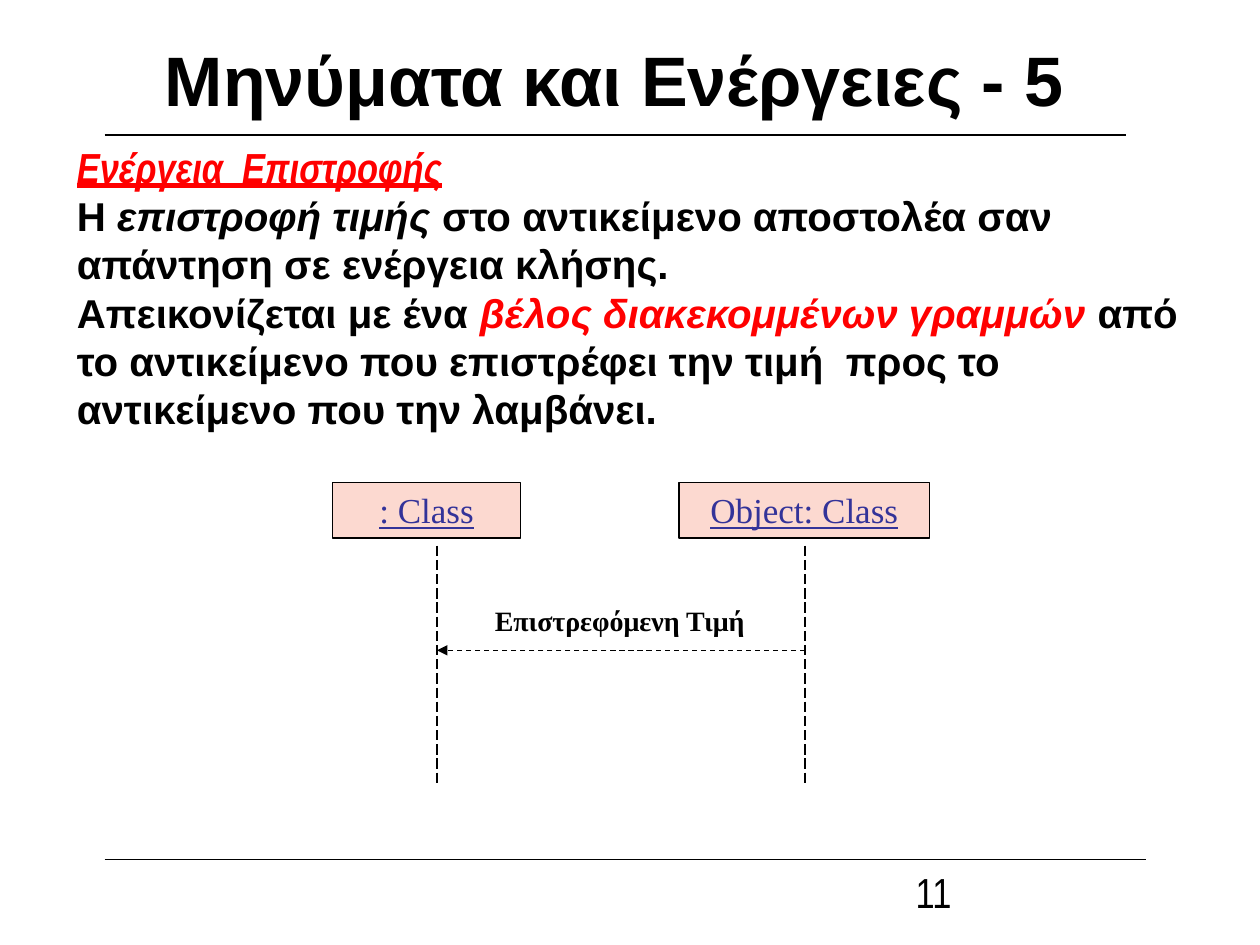
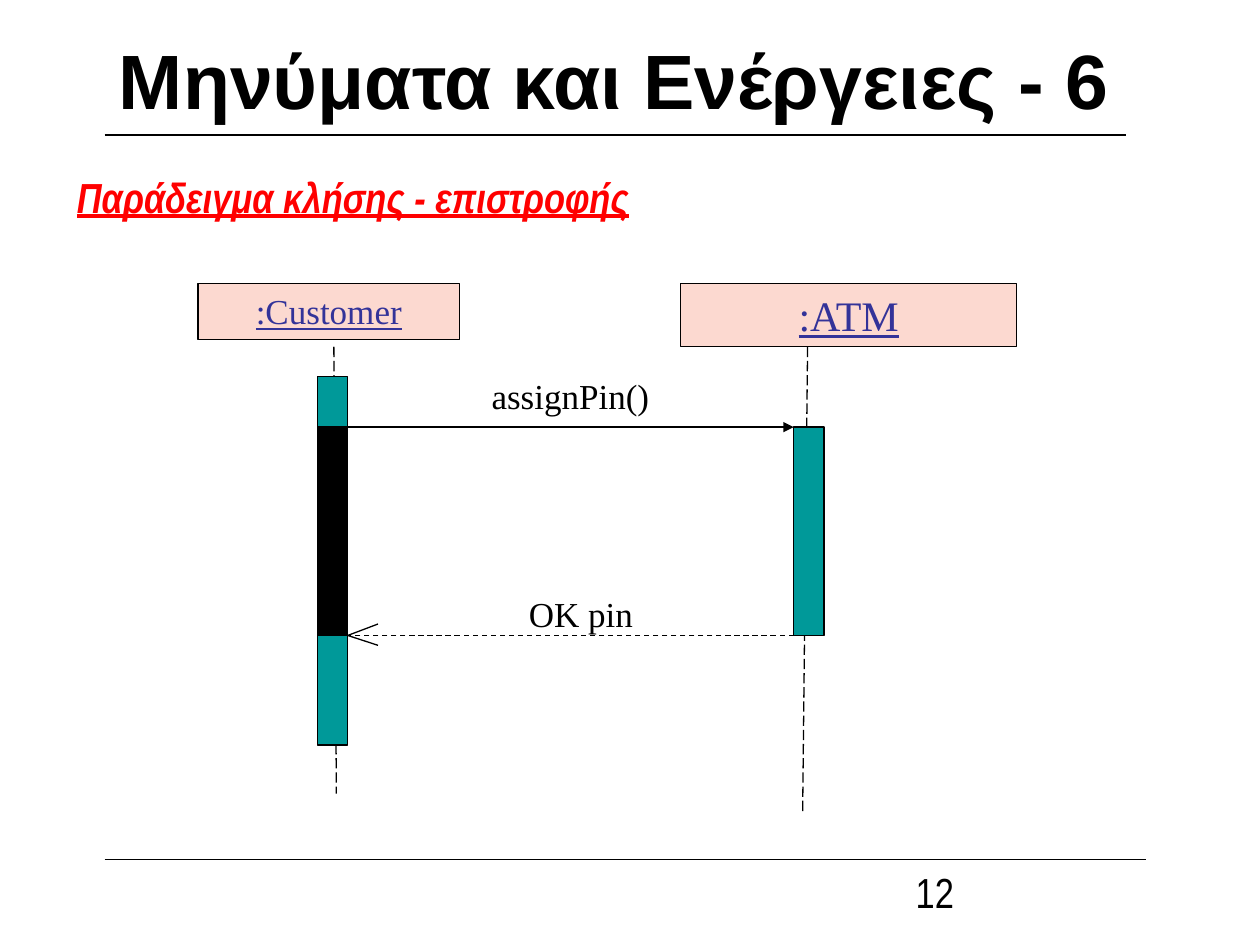
from lxml import etree
from pptx import Presentation
from pptx.dml.color import RGBColor
from pptx.enum.dml import MSO_LINE
from pptx.enum.shapes import MSO_CONNECTOR, MSO_SHAPE
from pptx.enum.text import MSO_ANCHOR, PP_ALIGN
from pptx.oxml.ns import qn
from pptx.util import Cm, Pt

BLACK = RGBColor(0x00, 0x00, 0x00)
WHITE = RGBColor(0xFF, 0xFF, 0xFF)
RED = RGBColor(0xFF, 0x00, 0x00)
PINK = RGBColor(0xFC, 0xD9, 0xD0)
INDIGO = RGBColor(0x33, 0x33, 0x99)
TEAL = RGBColor(0x00, 0x99, 0x99)

SANS, NARROW, SERIF = "Arial", "Arial Narrow", "Times New Roman"
LEFT, CENTER = PP_ALIGN.LEFT, PP_ALIGN.CENTER
TOP, MIDDLE = MSO_ANCHOR.TOP, MSO_ANCHOR.MIDDLE
DASH, LONG_DASH = MSO_LINE.DASH, MSO_LINE.LONG_DASH
RECT, STRAIGHT = MSO_SHAPE.RECTANGLE, MSO_CONNECTOR.STRAIGHT

LINE_WIDTH = Pt(0.75)
BAR_WIDTH = 0.61
NAME_HEIGHT = 1.12


def add_run(p, text, size, font, color=BLACK, bold=False, italic=False, underline=False):
    r = p.add_run()
    r.text = text
    f = r.font
    f.size, f.name, f.color.rgb = Pt(size), font, color
    f.bold, f.italic, f.underline = bold, italic, underline


def add_text(s, x, y, w, h, align=LEFT, anchor=TOP):
    """Add an empty wrapped text box and return its first paragraph and frame."""
    tf = s.shapes.add_textbox(Cm(x), Cm(y), Cm(w), Cm(h)).text_frame
    tf.word_wrap = True
    tf.vertical_anchor = anchor
    p = tf.paragraphs[0]
    p.alignment = align
    return p, tf


def add_line(s, x1, y1, x2, y2, dash=None, arrow=False):
    line = s.shapes.add_connector(STRAIGHT, Cm(x1), Cm(y1), Cm(x2), Cm(y2))
    line.line.color.rgb = BLACK
    line.line.width = LINE_WIDTH
    if dash:
        line.line.dash_style = dash
    if arrow:
        etree.SubElement(line.line._get_or_add_ln(), qn("a:tailEnd"), type="triangle")
    etree.SubElement(line._element.spPr, qn("a:effectLst"))


def add_rect(s, x, y, w, h, fill):
    sp = s.shapes.add_shape(RECT, Cm(x), Cm(y), Cm(w), Cm(h))
    sp.shadow.inherit = False
    sp.fill.solid()
    sp.fill.fore_color.rgb = fill
    sp.line.color.rgb = BLACK
    sp.line.width = LINE_WIDTH
    return sp


def add_object(s, x, y, w, name, h=NAME_HEIGHT, size=20):
    """Add the underlined name box at the head of a lifeline."""
    tf = add_rect(s, x, y, w, h, PINK).text_frame
    tf.word_wrap = True
    tf.vertical_anchor = TOP
    p = tf.paragraphs[0]
    p.alignment = CENTER
    add_run(p, name, size, SERIF, INDIGO, underline=True)


def add_label(s, x, y, w, text, size=20, bold=False):
    p, _ = add_text(s, x, y, w, NAME_HEIGHT, CENTER)
    add_run(p, text, size, SERIF, bold=bold)


def add_heading(p, text):
    add_run(p, text, 24, NARROW, RED, bold=True, italic=True, underline=True)


def add_frame_slide(prs, title, size, number):
    """Add a slide with title, rules above and below, and page number."""
    s = prs.slides.add_slide(prs.slide_layouts[6])
    s.background.fill.solid()
    s.background.fill.fore_color.rgb = WHITE
    p, _ = add_text(s, 1.27, 0, 22.23, 3.18, CENTER, MIDDLE)
    add_run(p, title, size, SANS, bold=True)
    for right, y in ((22.7, 2.72), (23.11, 17.32)):
        add_line(s, 2.11, y, right, y)
    p, _ = add_text(s, 18.21, 17.35, 5.89, 1.3)
    add_run(p, str(number), 24, NARROW)
    return s


def add_return_text(s, x, y, w, h):
    p, tf = add_text(s, x, y, w, h)
    add_heading(p, "Ενέργεια  Επιστροφής")
    paragraphs = (
        (("Η ", BLACK, False),
         ("επιστροφή τιμής", BLACK, True),
         (" στο αντικείμενο αποστολέα σαν απάντηση σε ενέργεια κλήσης.", BLACK, False)),
        (("Απεικονίζεται με ένα ", BLACK, False),
         ("βέλος διακεκομμένων γραμμών", RED, True),
         (" από το αντικείμενο που επιστρέφει την τιμή  προς το αντικείμενο "
          "που την λαμβάνει.", BLACK, False)),
    )
    for runs in paragraphs:
        p = tf.add_paragraph()
        for text, color, italic in runs:
            add_run(p, text, 23, SANS, color, bold=True, italic=italic)


def add_return_diagram(s, x, y, h):
    receiver, sender, message = x + 2.1, x + 9.52, y + 3.38
    add_object(s, x, y, 3.78, ": Class")
    add_object(s, x + 6.98, y, 5.05, "Object: Class")
    for lifeline in (receiver, sender):
        add_line(s, lifeline, y + 1.27, lifeline, y + h, LONG_DASH)
    add_line(s, sender, message, receiver, message, DASH, arrow=True)
    add_label(s, x + 2.94, y + 2.31, 5.69, "Επιστρεφόμενη Τιμή", 16, bold=True)


def add_call_diagram(s, x, y, h):
    customer, atm = x + 2.41, x + 12.01
    customer_edge = customer + BAR_WIDTH
    start, call, reply, end = y + 1.87, y + 2.89, y + 7.09, y + 9.3

    add_object(s, x, y, 5.28, ":Customer")
    add_object(s, x + 9.73, y, 6.78, ":ΑΤΜ", 1.27, 24)
    add_line(s, x + 2.74, y + 1.27, x + 2.79, y + h - 0.41, LONG_DASH)
    add_line(s, x + 12.29, y + 1.27, x + 12.19, y + h, LONG_DASH)

    bars = ((customer, start, call, TEAL), (customer, call, reply, BLACK),
            (customer, reply, end, TEAL), (atm, call, reply, TEAL))
    for left, top, bottom, fill in bars:
        add_rect(s, left, top, BAR_WIDTH, bottom - top, fill)

    add_label(s, x + 3.6, y + 1.7, 7.82, "assignPin()")
    add_line(s, customer_edge, call, atm, call, arrow=True)
    add_label(s, x + 3.81, y + 6.09, 7.82, "OK pin")
    add_line(s, atm, reply, customer_edge, reply, DASH)
    for barb in (-0.23, 0.2):
        add_line(s, customer_edge, reply, customer_edge + 0.61, reply + barb)


def main():
    prs = Presentation()
    prs.slide_width, prs.slide_height = Cm(25.4), Cm(19.05)

    s = add_frame_slide(prs, "Μηνύματα και Ενέργειες - 5", 40, 11)
    add_return_text(s, 1.3, 2.72, 23.39, 7.11)
    add_return_diagram(s, 6.71, 9.73, 6.12)

    s = add_frame_slide(prs, "Μηνύματα και Ενέργειες - 6", 44, 12)
    p, _ = add_text(s, 1.3, 3.53, 14.99, 2.08)
    p.line_spacing = 0.8
    add_heading(p, "Παράδειγμα κλήσης - επιστροφής")
    add_call_diagram(s, 3.99, 5.72, 10.69)

    prs.save("out.pptx")


if __name__ == "__main__":
    main()
